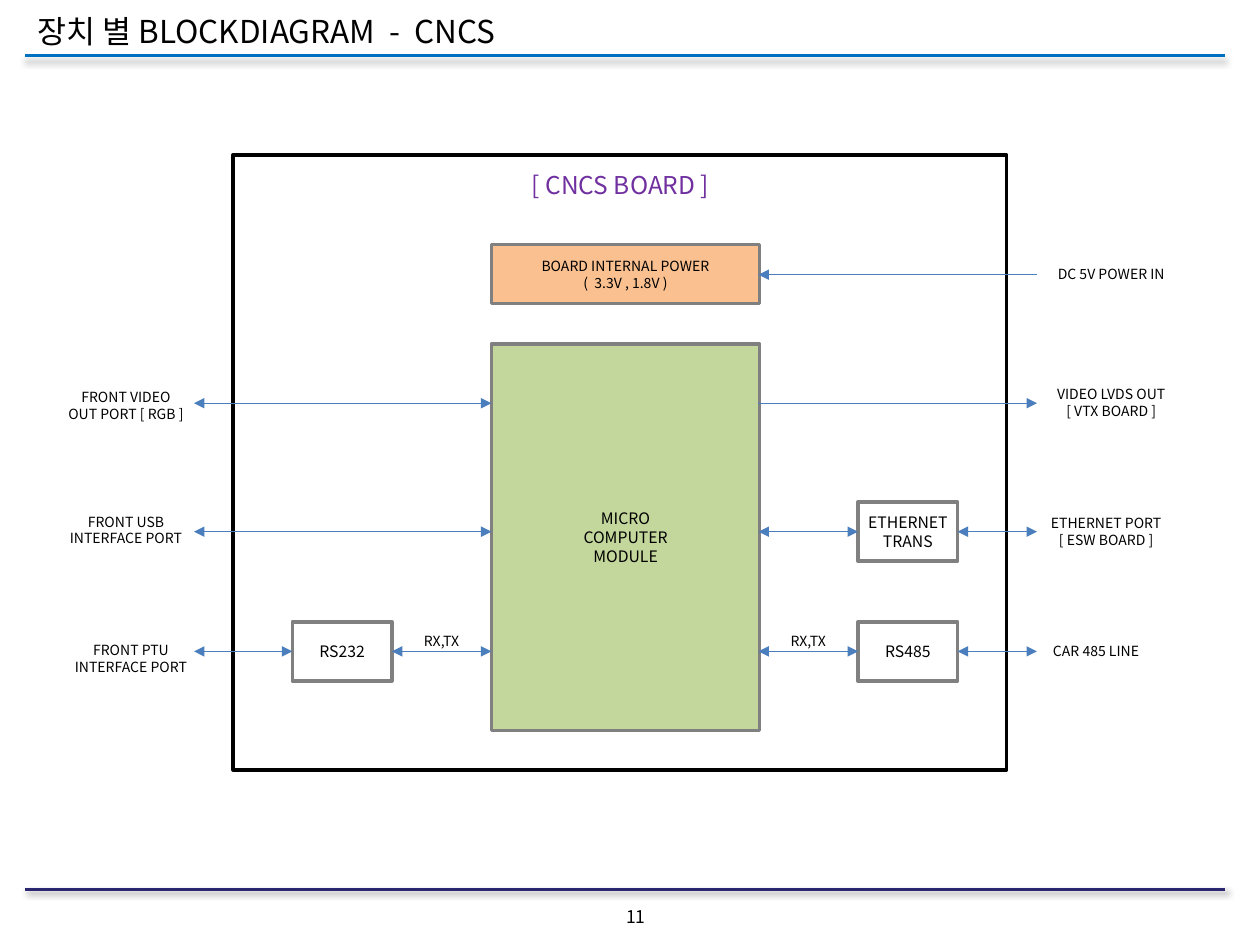
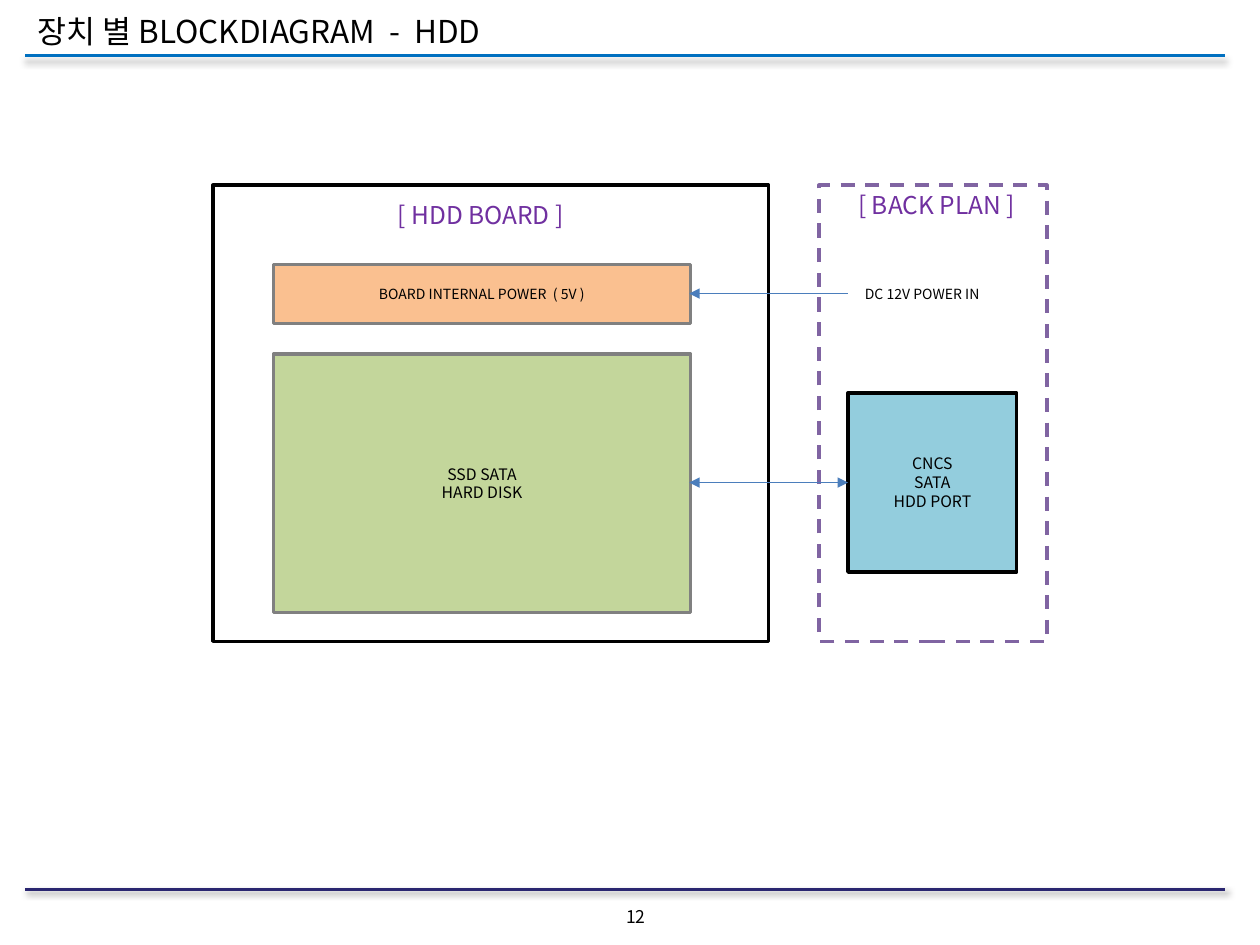
from lxml import etree
from pptx import Presentation
from pptx.dml.color import RGBColor
from pptx.enum.dml import MSO_LINE_DASH_STYLE as DASH
from pptx.enum.shapes import MSO_CONNECTOR_TYPE as CONNECTOR, MSO_SHAPE as SHAPE
from pptx.enum.text import MSO_ANCHOR as ANCHOR, PP_ALIGN as ALIGN
from pptx.oxml.ns import qn
from pptx.util import Inches, Pt

FONT = "Noto Sans CJK KR"
COLORS = {
    "text": "000000", "heading": "7030A0", "frame": "000000", "border": "808080",
    "module": "C3D69B", "power": "FAC090", "port": "93CDDD", "backplane": "8064A2",
    "arrow": "4B7EBC", "title_rule": "0070C0", "footer_rule": "2A2670",
}


def add_box(slide, text, left, top, width, height, size=8, color="text", fill=None,
            border=None, dash=None, align=ALIGN.CENTER, anchor=ANCHOR.MIDDLE,
            inset_x=0.1, inset_y=0.05):
    """Add a rectangle if it has a fill or border, else a text box; one paragraph per line."""
    area = [Inches(value) for value in (left, top, width, height)]
    if fill or border:
        shape = slide.shapes.add_shape(SHAPE.RECTANGLE, *area)
        shape.shadow.inherit = False
        if fill:
            shape.fill.solid()
            shape.fill.fore_color.rgb = RGBColor.from_string(COLORS[fill])
        else:
            shape.fill.background()
        shape.line.color.rgb = RGBColor.from_string(COLORS[border])
        shape.line.width = Pt(2)
        if dash:
            shape.line.dash_style = dash
    else:
        shape = slide.shapes.add_textbox(*area)
    if not text:
        return
    frame = shape.text_frame
    frame.word_wrap = True
    frame.vertical_anchor = anchor
    frame.margin_left = frame.margin_right = Inches(inset_x)
    frame.margin_top = frame.margin_bottom = Inches(inset_y)
    frame.text = text
    for paragraph in frame.paragraphs:
        paragraph.alignment = align
        paragraph.line_spacing = Pt(1.2 * size)
        for run in paragraph.runs:
            run.font.name = FONT
            run.font.size = Pt(size)
            run.font.color.rgb = RGBColor.from_string(COLORS[color])
            east_asian = etree.SubElement(run.font._element, qn("a:ea"))
            east_asian.set("typeface", FONT)


def add_line(slide, start_x, end_x, y, color="arrow", width=0.75, ends="", shadow=None):
    """Add a level line; ends lists its arrowheads, shadow is (opacity, blur, distance, angle)."""
    line = slide.shapes.add_connector(
        CONNECTOR.STRAIGHT, Inches(start_x), Inches(y), Inches(end_x), Inches(y))
    line.line.color.rgb = RGBColor.from_string(COLORS[color])
    line.line.width = Pt(width)
    outline = line.line._get_or_add_ln()
    for end in ends.split():
        etree.SubElement(outline, qn(f"a:{end}End")).set("type", "triangle")
    effects = etree.SubElement(line._element.spPr, qn("a:effectLst"))
    if shadow:
        opacity, blur, distance, angle = shadow
        outer = etree.SubElement(effects, qn("a:outerShdw"), blurRad=str(Pt(blur)),
                                 dist=str(Pt(distance)), dir=str(angle * 60000),
                                 algn="tl", rotWithShape="0")
        shade = etree.SubElement(outer, qn("a:srgbClr"), val="000000")
        etree.SubElement(shade, qn("a:alpha"), val=str(opacity * 1000))


presentation = Presentation()
presentation.slide_width = Inches(10)
presentation.slide_height = Inches(7.5)

# Title, rules and page number shared by both slides
slides = []
for number, device in ((11, "CNCS"), (12, "HDD")):
    slide = presentation.slides.add_slide(presentation.slide_layouts[6])
    add_line(slide, 0.2, 9.72, 7.06, "footer_rule", 2, shadow=(50, 4, 2, 45))
    add_box(slide, str(number), 4.69, 7.14, 0.71, 0.27, size=10, anchor=ANCHOR.TOP)
    add_box(slide, f"장치 별 BLOCKDIAGRAM  -  {device}", 0.2, 0.05, 9.13, 0.4, size=18,
            align=ALIGN.LEFT, anchor=ANCHOR.TOP)
    add_line(slide, 0.2, 9.72, 0.44, "title_rule", 2, shadow=(40, 4, 3, 90))
    slides.append(slide)
cncs, hdd = slides

# CNCS board
add_box(cncs, "", 1.85, 1.23, 6.14, 4.88, border="frame")
add_box(cncs, "[ CNCS BOARD ]", 3.98, 1.31, 1.89, 0.31, size=14, color="heading")
add_box(cncs, "MICRO\nCOMPUTER\nMODULE", 3.9, 2.73, 2.13, 3.07, size=9,
        fill="module", border="border")
add_box(cncs, "BOARD INTERNAL POWER\n(  3.3V , 1.8V )", 3.9, 1.94, 2.13, 0.47,
        fill="power", border="border", inset_x=0)

POWER_Y, VIDEO_Y, MIDDLE_Y, SERIAL_Y = 2.18, 3.2, 4.22, 5.17
LEFT_PORT, MODULE_LEFT, MODULE_RIGHT, RIGHT_PORT = 1.54, 3.9, 6.02, 8.23
LEFT_CHIP, RIGHT_CHIP, CHIP_WIDTH, CHIP_HEIGHT = 2.32, 6.81, 0.79, 0.47

for text, left, y in (
    ("RS232", LEFT_CHIP, SERIAL_Y),
    ("RS485", RIGHT_CHIP, SERIAL_Y),
    ("ETHERNET\nTRANS", RIGHT_CHIP, MIDDLE_Y),
):
    add_box(cncs, text, left, y - CHIP_HEIGHT / 2, CHIP_WIDTH, CHIP_HEIGHT, size=9,
            border="border", inset_x=0)

for start_x, end_x, y, ends in (
    (MODULE_RIGHT, RIGHT_PORT, POWER_Y, "head"),
    (MODULE_RIGHT, RIGHT_PORT, VIDEO_Y, "tail"),
    (LEFT_PORT, MODULE_LEFT, VIDEO_Y, "head tail"),
    (LEFT_PORT, MODULE_LEFT, MIDDLE_Y, "head tail"),
    (LEFT_PORT, LEFT_CHIP, SERIAL_Y, "head tail"),
    (LEFT_CHIP + CHIP_WIDTH, MODULE_LEFT, SERIAL_Y, "head tail"),
):
    add_line(cncs, start_x, end_x, y, ends=ends)
for y in (MIDDLE_Y, SERIAL_Y):
    add_line(cncs, MODULE_RIGHT, RIGHT_CHIP, y, ends="head tail")
    add_line(cncs, RIGHT_CHIP + CHIP_WIDTH, RIGHT_PORT, y, ends="head tail")

for text, left, top in (
    ("FRONT VIDEO\nOUT PORT [ RGB ]", 0.39, 3.04),
    ("FRONT USB\nINTERFACE PORT", 0.39, 4.03),
    ("FRONT PTU\nINTERFACE PORT", 0.43, 5.05),
):
    add_box(cncs, text, left, top, 1.22, 0.35, inset_x=0, inset_y=0)
for text, left, top, width in (
    ("DC 5V POWER IN", 8.23, 2.02, 1.18),
    ("VIDEO LVDS OUT\n[ VTX BOARD ]", 8.23, 3.04, 1.18),
    ("ETHERNET PORT\n[ ESW BOARD ]", 8.15, 4.06, 1.26),
    ("CAR 485 LINE", 8.07, 5.01, 1.26),
):
    add_box(cncs, text, left, top, width, 0.31)
for left in (3.35, 6.26):
    add_box(cncs, "RX,TX", left, 5.01, 0.31, 0.16, inset_x=0, inset_y=0)

# HDD board and back plane
add_box(hdd, "", 1.69, 1.47, 4.41, 3.62, border="frame")
add_box(hdd, "", 6.5, 1.47, 1.81, 3.62, border="backplane", dash=DASH.DASH)
add_box(hdd, "[ HDD BOARD ]", 2.87, 1.55, 1.89, 0.31, size=14, color="heading")
add_box(hdd, "[ BACK PLAN ]", 6.57, 1.47, 1.73, 0.31, size=14, color="heading")
add_box(hdd, "SSD SATA\nHARD DISK", 2.17, 2.81, 3.31, 2.05, size=9,
        fill="module", border="border")
add_box(hdd, "BOARD INTERNAL POWER  ( 5V )", 2.17, 2.1, 3.31, 0.47,
        fill="power", border="border", inset_x=0)
add_box(hdd, "CNCS\nSATA\nHDD PORT", 6.73, 3.12, 1.34, 1.42, size=9,
        fill="port", border="frame")
add_box(hdd, "DC 12V POWER IN", 6.73, 2.18, 1.18, 0.31)
add_line(hdd, 5.47, 6.73, 2.33, ends="head")
add_line(hdd, 5.47, 6.73, 3.83, ends="head tail")

presentation.save("out.pptx")
